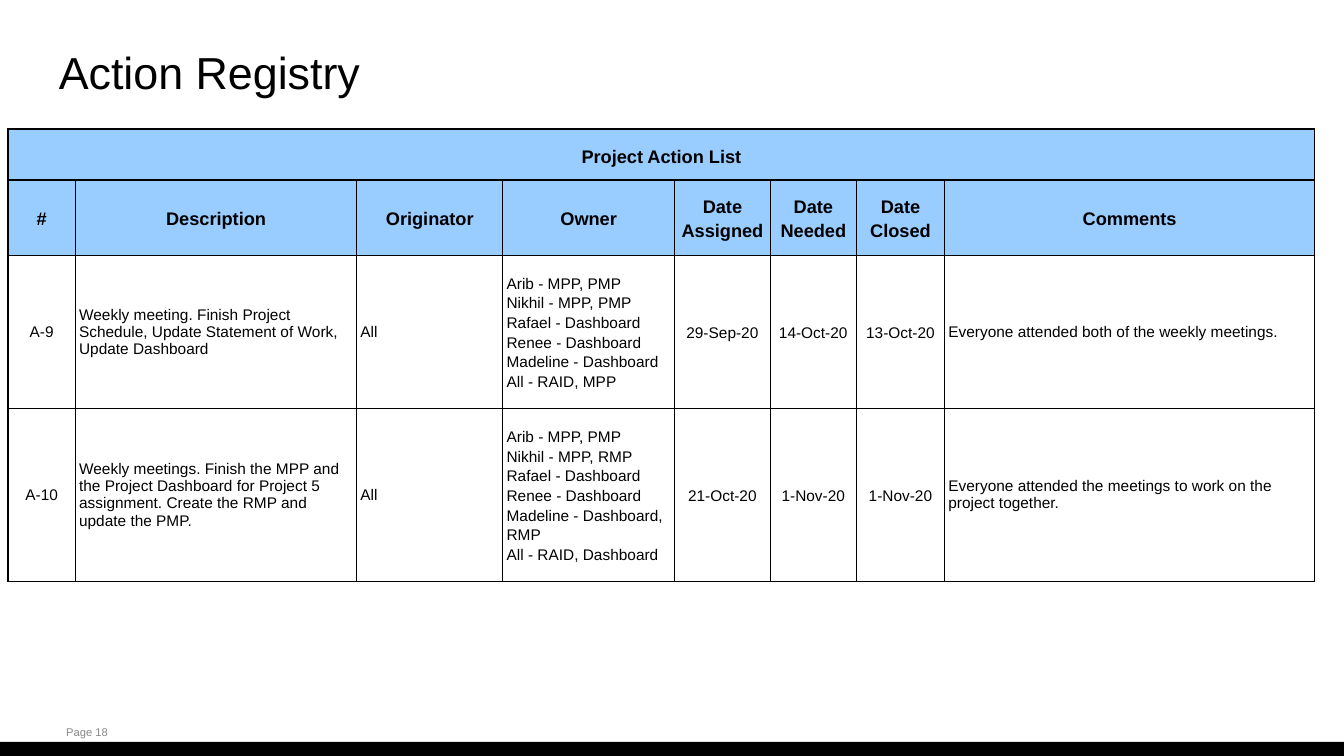
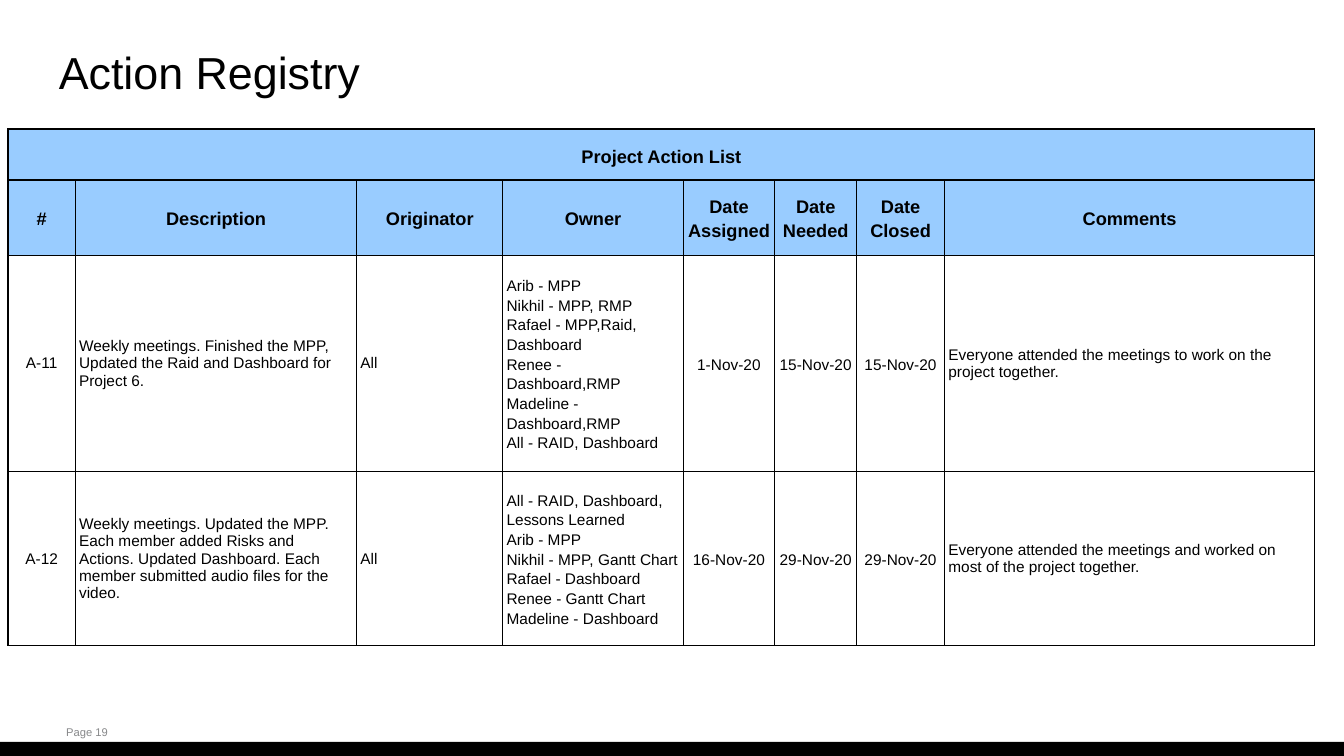
from lxml import etree
from pptx import Presentation
from pptx.dml.color import RGBColor
from pptx.enum.shapes import MSO_SHAPE
from pptx.enum.text import MSO_ANCHOR, PP_ALIGN
from pptx.oxml.ns import qn
from pptx.util import Pt

LEFT, CENTER = PP_ALIGN.LEFT, PP_ALIGN.CENTER
MIDDLE, BOTTOM = MSO_ANCHOR.MIDDLE, MSO_ANCHOR.BOTTOM
RECTANGLE = MSO_SHAPE.RECTANGLE

FONT = "Arial"
BLACK, WHITE, GRAY, BLUE = "000000", "FFFFFF", "87888A", "99CCFF"
THICK, THIN = 1.5, 0.75
SLIDE_WIDTH, SLIDE_HEIGHT, BAR_HEIGHT = 960, 540, 10
TITLE_ROW, HEADER_ROW = 36.4, 51.8
HEADERS = ["#", "Description", "Originator", "Owner", "Date Assigned",
           "Date Needed", "Date Closed", "Comments"]
CENTERED_COLUMNS = (0, 4, 5, 6)
SPACED_COLUMNS = (3, 4, 5, 6)

PAGES = [
    {
        "number": 18,
        "columns": [48, 201, 104.4, 122.6, 68.5, 61.4, 63.1, 264.2],
        "row_heights": [103.6, 117.9],
        "actions": [
            ["A-9",
             "Weekly meeting. Finish Project Schedule, Update Statement of Work, Update Dashboard",
             "All",
             "Arib - MPP, PMP\nNikhil - MPP, PMP\nRafael - Dashboard\nRenee - Dashboard\n"
             "Madeline - Dashboard\nAll - RAID, MPP",
             "29-Sep-20", "14-Oct-20", "13-Oct-20",
             "Everyone attended both of the weekly meetings."],
            ["A-10",
             "Weekly meetings. Finish the MPP and the Project Dashboard for Project 5 assignment. "
             "Create the RMP and update the PMP.",
             "All",
             "Arib - MPP, PMP\nNikhil - MPP, RMP\nRafael - Dashboard\nRenee - Dashboard\n"
             "Madeline - Dashboard, RMP\nAll - RAID, Dashboard",
             "21-Oct-20", "1-Nov-20", "1-Nov-20",
             "Everyone attended the meetings to work on the project together."],
        ],
    },
    {
        "number": 19,
        "columns": [48, 201, 104.4, 128.8, 65.5, 58.4, 62.9, 264.2],
        "row_heights": [145.7, 117.9],
        "actions": [
            ["A-11",
             "Weekly meetings. Finished the MPP, Updated the Raid and Dashboard for Project 6.",
             "All",
             "Arib - MPP\nNikhil - MPP, RMP\nRafael - MPP,Raid, Dashboard\n"
             "Renee - Dashboard,RMP\nMadeline - Dashboard,RMP\nAll - RAID, Dashboard",
             "1-Nov-20", "15-Nov-20", "15-Nov-20",
             "Everyone attended the meetings to work on the project together."],
            ["A-12",
             "Weekly meetings. Updated the MPP. Each member added Risks and Actions. "
             "Updated Dashboard. Each member submitted audio files for the video.",
             "All",
             "All - RAID, Dashboard, Lessons Learned\nArib - MPP\nNikhil - MPP, Gantt Chart\n"
             "Rafael - Dashboard\nRenee - Gantt Chart\nMadeline - Dashboard",
             "16-Nov-20", "29-Nov-20", "29-Nov-20",
             "Everyone attended the meetings and worked on most of the project together."],
        ],
    },
]


def color(hex_code):
    return RGBColor.from_string(hex_code)


def write(frame, text, size, hex_code, bold=False, align=LEFT, spacing=1.0):
    """Fill a text frame or cell frame, one paragraph per line, in one style."""
    frame.text = text
    frame.word_wrap = True
    for paragraph in frame.paragraphs:
        paragraph.alignment = align
        paragraph.line_spacing = spacing
        paragraph.font.name = FONT
        paragraph.font.size = Pt(size)
        paragraph.font.bold = bold
        paragraph.font.color.rgb = color(hex_code)


presentation = Presentation()
presentation.slide_width = Pt(SLIDE_WIDTH)
presentation.slide_height = Pt(SLIDE_HEIGHT)

for page in PAGES:
    slide = presentation.slides.add_slide(presentation.slide_layouts[6])

    # Title, page number and bottom bar
    for text, size, hex_code, box, inset_x, inset_y in [
        (f"Page {page['number']}", 8, GRAY, (41.5, 514, 777, 17.5), 5.75, 3.6),
        ("Action Registry", 32, BLACK, (32.6, 18.7, 894, 65.5), 9.4, 9.4),
    ]:
        text_box = slide.shapes.add_textbox(*map(Pt, box))
        frame = text_box.text_frame
        frame.margin_left = frame.margin_right = Pt(inset_x)
        frame.margin_top = frame.margin_bottom = Pt(inset_y)
        frame.vertical_anchor = MIDDLE
        write(frame, text, size, hex_code)

    bar = slide.shapes.add_shape(RECTANGLE, 0, Pt(SLIDE_HEIGHT - BAR_HEIGHT),
                                 Pt(SLIDE_WIDTH), Pt(BAR_HEIGHT))
    bar.shadow.inherit = False
    bar.fill.solid()
    bar.fill.fore_color.rgb = color(BLACK)
    bar.line.fill.background()

    # Action table
    rows = [["Project Action List"] + [""] * 7, HEADERS] + page["actions"]
    heights = [TITLE_ROW, HEADER_ROW] + page["row_heights"]
    table = slide.shapes.add_table(len(rows), len(HEADERS), Pt(5.8), Pt(92.2),
                                   Pt(sum(page["columns"])), Pt(sum(heights))).table
    table.first_row = table.horz_banding = False
    for column, width in zip(table.columns, page["columns"]):
        column.width = Pt(width)
    for row, height in zip(table.rows, heights):
        row.height = Pt(height)
    table.cell(0, 0).merge(table.cell(0, len(HEADERS) - 1))

    for row_index, row in enumerate(rows):
        is_title, is_header = row_index == 0, row_index <= 1
        for column_index, text in enumerate(row):
            cell = table.cell(row_index, column_index)
            if cell.is_spanned:
                continue
            centered = is_header or column_index in CENTERED_COLUMNS
            spaced = is_header or column_index in SPACED_COLUMNS
            write(cell.text_frame, text, 13 if is_header else 11, BLACK, is_header,
                  CENTER if centered else LEFT, 1.15 if spaced else 1.0)
            cell.vertical_anchor = BOTTOM if is_title else MIDDLE
            cell.margin_left = cell.margin_right = Pt(2.7)
            cell.margin_top = cell.margin_bottom = Pt(9)

            borders = {
                "a:lnL": THICK if column_index == 0 else THIN,
                "a:lnR": THICK if is_title else THIN,
                "a:lnT": THICK if is_header else THIN,
                "a:lnB": THICK if is_title else THIN,
            }
            properties = cell._tc.get_or_add_tcPr()
            for side, width in borders.items():
                line = etree.SubElement(properties, qn(side), w=str(Pt(width)))
                fill = etree.SubElement(line, qn("a:solidFill"))
                etree.SubElement(fill, qn("a:srgbClr"), val=BLACK)
            cell.fill.solid()
            cell.fill.fore_color.rgb = color(BLUE if is_header else WHITE)

presentation.save("out.pptx")
